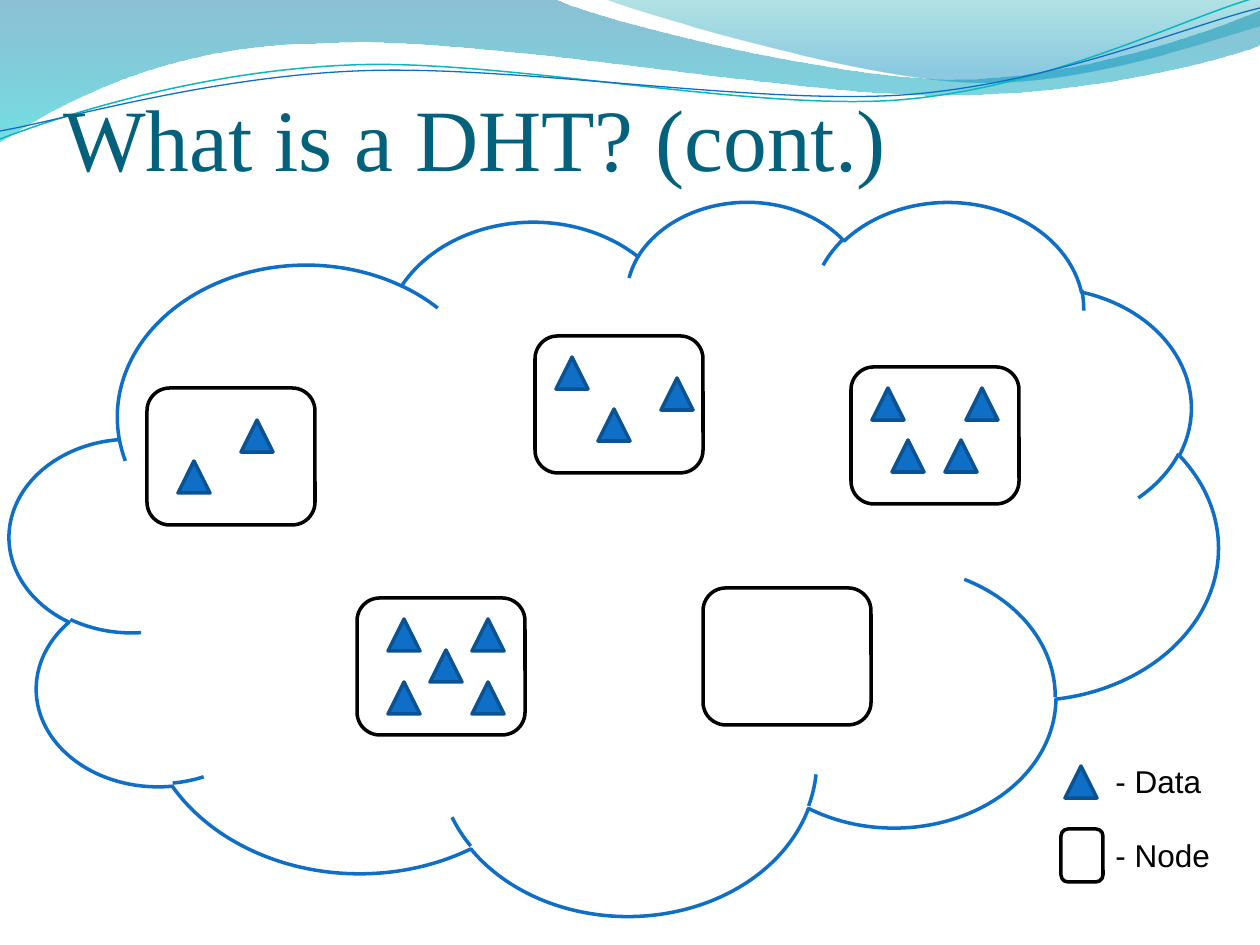
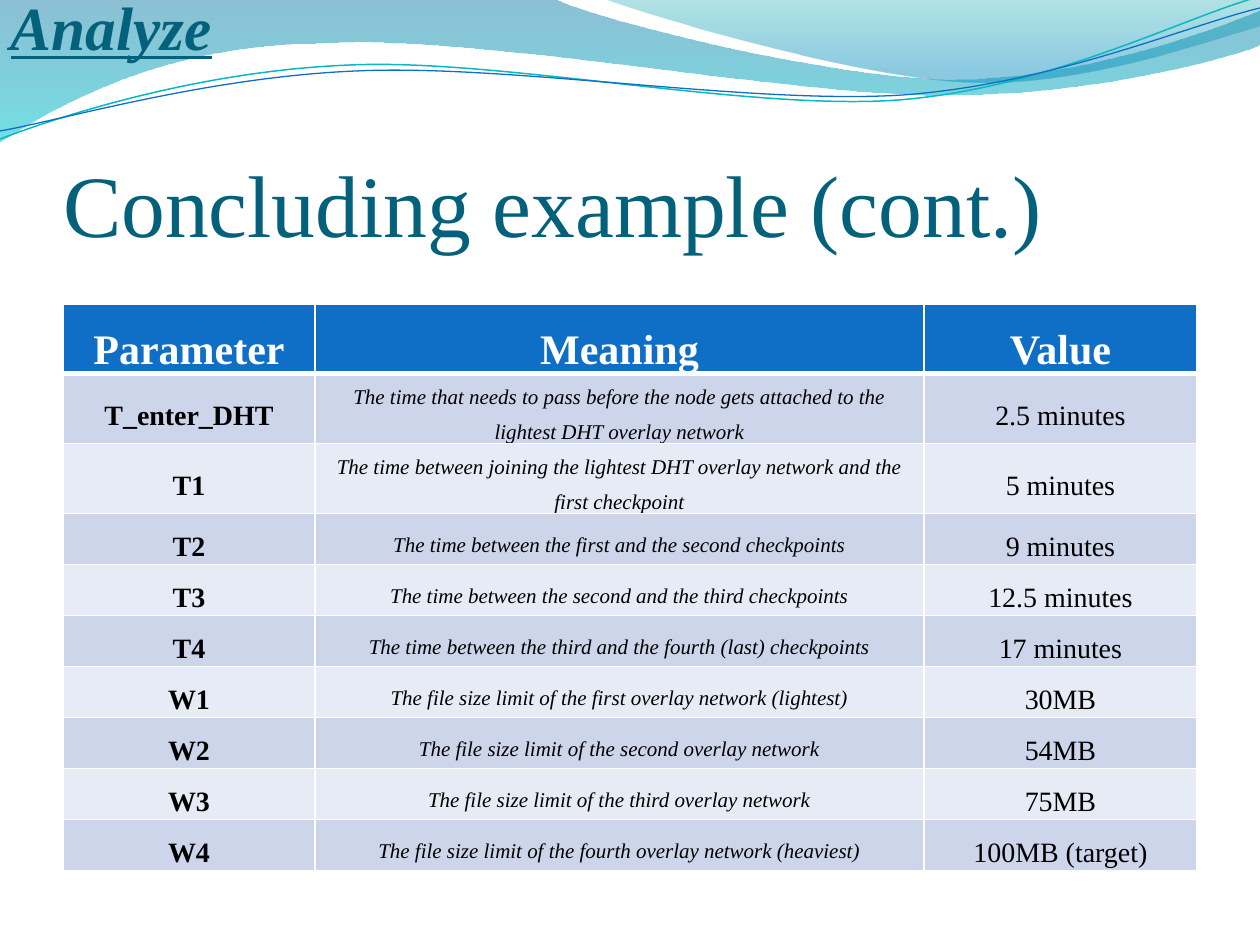
import dataclasses
import itertools
import typing

import pptx
import pptx.dml.color
import pptx.enum.shapes
import pptx.enum.text
import pptx.oxml
import pptx.oxml.ns
import pptx.util

RGB = pptx.dml.color.RGBColor
KIND = pptx.enum.shapes.MSO_SHAPE
ALIGN = pptx.enum.text.PP_ALIGN
ANCHOR = pptx.enum.text.MSO_ANCHOR

SCALE = 914400 / 126
SERIF = "Times New Roman"
SANS = "Arial"

WHITE = RGB(0xFF, 0xFF, 0xFF)
BLACK = RGB(0x00, 0x00, 0x00)
BLUE = RGB(0x0F, 0x6F, 0xC6)
NAVY = RGB(0x0B, 0x52, 0x92)
TITLE = RGB(0x04, 0x61, 0x7B)
AQUA = RGB(0x0A, 0xB8, 0xBF)
DARK = RGB(0xCC, 0xD5, 0xEA)
LIGHT = RGB(0xE7, 0xEB, 0xF5)

Point = tuple[int, int]
Box = tuple[int, int, int, int]


@dataclasses.dataclass(frozen=True)
class Stop:
    place: float
    color: RGB
    alpha: int


@dataclasses.dataclass(frozen=True)
class Wave:
    runs: list[list[Point]]
    stops: tuple[Stop, ...] = ()
    line: RGB | None = None
    width: float = 0


@dataclasses.dataclass(frozen=True)
class Node:
    left: int
    top: int
    data: tuple[Point, ...] = ()


WAVES = [
    Wave(
        [
            [(0, -1)],
            [(554, -1), (600, 21), (837, 79), (955, 79), (1075, 79), (1207, 33), (1260, 11)],
            [(1261, 45), (1239, 55), (1096, 96), (940, 95), (784, 95), (481, 35),
             (324, 43), (163, 44), (58, 105), (-1, 142)],
        ],
        (Stop(0, RGB(0x00, 0x74, 0xA1), 45), Stop(1, RGB(0x00, 0xC6, 0xCF), 55)),
    ),
    Wave(
        [
            [(604, -1), (641, 14), (859, 78), (969, 82), (1079, 87), (1211, 40), (1260, 26)],
            [(1260, 0)],
        ],
        (Stop(0, RGB(0x00, 0xA1, 0xA9), 30), Stop(0.8, RGB(0x00, 0x8B, 0xBF), 45)),
    ),
    Wave(
        [[(0, 139), (60, 116), (199, 71), (349, 65), (498, 58), (747, 111),
          (898, 100), (1050, 88), (1182, 18), (1258, -3)]],
        line=AQUA, width=0.85,
    ),
    Wave(
        [[(0, 131), (59, 121), (207, 77), (357, 71), (508, 64), (752, 105),
          (903, 95), (1053, 84), (1186, 26), (1260, 8)]],
        line=BLUE, width=0.75,
    ),
]

NODES = [
    Node(147, 388, ((94, 32), (31, 73))),
    Node(535, 336, ((21, 21), (63, 73), (126, 42))),
    Node(851, 367, ((21, 21), (115, 21), (41, 73), (94, 73))),
    Node(357, 598, ((31, 21), (115, 21), (73, 52), (31, 84), (115, 84))),
    Node(703, 588),
]
NODE_SIZE = (168, 137)
DATA_SIZE = (32, 32)

HEAD = ("Parameter", "Meaning", "Value")
ROWS = [
    ("T_enter_DHT", "The time that needs to pass before the node gets attached "
     "to the lightest DHT overlay network", "2.5 minutes"),
    ("T1", "The time between joining the lightest DHT overlay network "
     "and the first checkpoint", "5 minutes"),
    ("T2", "The time between the first and the second checkpoints", "9 minutes"),
    ("T3", "The time between the second and the third checkpoints", "12.5 minutes"),
    ("T4", "The time between the third and the fourth (last) checkpoints", "17 minutes"),
    ("W1", "The file size limit of the first overlay network (lightest)", "30MB"),
    ("W2", "The file size limit of the second overlay network", "54MB"),
    ("W3", "The file size limit of the third overlay network", "75MB"),
    ("W4", "The file size limit of the fourth overlay network (heaviest)", "100MB (target)"),
]
WIDTHS = (252, 609, 273)
ROW_HIGH = 51
LOOKS = (
    {"size": 16, "bold": True},
    {"size": 12, "ital": True},
    {"size": 16},
)


def px(size: float) -> pptx.util.Emu:
    return pptx.util.Emu(round(size * SCALE))


def put(frame: typing.Any, text: str, *, size: float, font: str = SERIF,
        color: RGB = BLACK, bold: bool = False, ital: bool = False,
        under: bool = False, align: typing.Any = ALIGN.LEFT,
        space: float | None = None) -> None:
    para = frame.paragraphs[0]
    para.alignment = align
    para.line_spacing = space
    run = para.add_run()
    run.text = text
    face = run.font
    face.name, face.size = font, pptx.util.Pt(size)
    face.bold, face.italic, face.underline = bold, ital, under
    face.color.rgb = color


def place(shape: typing.Any, box: Box) -> None:
    shape.left, shape.top, shape.width, shape.height = map(px, box)


def set_head(shape: typing.Any, box: Box, text: str, **look: typing.Any) -> None:
    place(shape, box)
    frame = shape.text_frame
    frame.word_wrap = True
    frame.auto_size = pptx.enum.text.MSO_AUTO_SIZE.NONE
    frame.vertical_anchor = ANCHOR.BOTTOM
    frame.margin_left = frame.margin_right = frame.margin_bottom = 0
    frame.margin_top = px(6)
    put(frame, text, color=TITLE, **look)


def add_form(slide: typing.Any, kind: typing.Any, box: Box, fill: RGB, line: RGB) -> None:
    form = slide.shapes.add_shape(kind, *map(px, box))
    form.shadow.inherit = False
    form.fill.solid()
    form.fill.fore_color.rgb = fill
    form.line.color.rgb = line
    form.line.width = pptx.util.Pt(2)


def add_node(slide: typing.Any, box: Box) -> None:
    add_form(slide, KIND.ROUNDED_RECTANGLE, box, WHITE, BLACK)


def add_data(slide: typing.Any, left: int, top: int) -> None:
    add_form(slide, KIND.ISOSCELES_TRIANGLE, (left, top, *DATA_SIZE), BLUE, NAVY)


def add_label(slide: typing.Any, box: Box, text: str) -> None:
    frame = slide.shapes.add_textbox(*map(px, box)).text_frame
    frame.word_wrap = True
    put(frame, text, size=18, font=SANS)


def bend(form: typing.Any, runs: list[list[Point]]) -> None:
    lines = list(form._element.iter(pptx.oxml.ns.qn("a:lnTo")))
    start = 0
    for run in runs:
        for i in range(start, start + len(run) - 1, 3):
            curve = pptx.oxml.parse_xml(
                f'<a:cubicBezTo {pptx.oxml.ns.nsdecls("a")}/>')
            lines[i].addprevious(curve)
            for line in lines[i:i + 3]:
                curve.append(line[0])
                line.getparent().remove(line)
        start += len(run)


def add_wave(slide: typing.Any, wave: Wave) -> typing.Any:
    trail = itertools.chain.from_iterable(wave.runs)
    spots = [(px(x), px(y)) for x, y in trail]
    pen = slide.shapes.build_freeform(*spots[0], scale=1.0)
    pen.add_line_segments(spots[1:], close=bool(wave.stops))
    form = pen.convert_to_shape()
    bend(form, wave.runs)
    form.shadow.inherit = False
    if wave.stops:
        form.line.fill.background()
        form.fill.gradient()
        form.fill.gradient_angle = 270
        for stop, spec in zip(form.fill.gradient_stops, wave.stops):
            stop.position = spec.place
            stop.color.rgb = spec.color
        tones = form._element.spPr.iter(pptx.oxml.ns.qn("a:srgbClr"))
        for tone, spec in zip(list(tones), wave.stops):
            tone.append(pptx.oxml.parse_xml(
                f'<a:alpha {pptx.oxml.ns.nsdecls("a")} val="{spec.alpha * 1000}"/>'))
    else:
        form.fill.background()
        form.line.color.rgb = wave.line
        form.line.width = pptx.util.Pt(wave.width)
    return form


def share_waves(slide: typing.Any) -> None:
    tree = slide.slide_layout.shapes._spTree
    for i, wave in enumerate(WAVES):
        item = add_wave(slide, wave)._element
        item.nvSpPr.cNvPr.set("id", str(100 + i))
        tree.insert(2 + i, item)


def edge(cell: typing.Any, low: int) -> None:
    props = cell._tc.get_or_add_tcPr()
    for i, (side, width) in enumerate((("L", 1), ("R", 1), ("T", 1), ("B", low))):
        props.insert(i, pptx.oxml.parse_xml(
            f'<a:ln{side} {pptx.oxml.ns.nsdecls("a")} w="{width * 12700}">'
            f'<a:solidFill><a:srgbClr val="{WHITE}"/></a:solidFill></a:ln{side}>'))


def add_grid(slide: typing.Any) -> None:
    count = len(ROWS) + 1
    box = (63, 304, sum(WIDTHS), ROW_HIGH * count)
    grid = slide.shapes.add_table(count, len(WIDTHS), *map(px, box)).table
    for col, width in zip(grid.columns, WIDTHS):
        col.width = px(width)
    for r, texts in enumerate([HEAD, *ROWS]):
        grid.rows[r].height = px(ROW_HIGH)
        for c, text in enumerate(texts):
            cell = grid.cell(r, c)
            cell.margin_left = cell.margin_right = px(9)
            cell.margin_top = cell.margin_bottom = 0
            cell.vertical_anchor = ANCHOR.MIDDLE
            cell.fill.solid()
            cell.fill.fore_color.rgb = BLUE if r == 0 else DARK if r % 2 else LIGHT
            edge(cell, 3 if r == 0 else 1)
            look = LOOKS[c] if r else {"size": 24, "bold": True, "color": WHITE}
            put(cell.text_frame, text, align=ALIGN.CENTER, space=1.5, **look)


def add_page(deck: typing.Any, top: int, text: str) -> typing.Any:
    slide = deck.slides.add_slide(deck.slide_layouts[5])
    set_head(slide.shapes.title, (63, top, 1134, 158), text, size=50)
    return slide


def draw_cloud(deck: typing.Any) -> None:
    slide = add_page(deck, 31, "What is a DHT? (cont.)")
    share_waves(slide)
    add_form(slide, KIND.CLOUD, (10, 200, 1208, 714), WHITE, BLUE)
    for node in NODES:
        add_node(slide, (node.left, node.top, *NODE_SIZE))
        for x, y in node.data:
            add_data(slide, node.left + x, node.top + y)
    add_data(slide, 1065, 766)
    add_label(slide, (1103, 756, 116, 52), "- Data")
    add_node(slide, (1061, 829, 42, 53))
    add_label(slide, (1103, 830, 126, 51), "- Node")


def draw_table(deck: typing.Any) -> None:
    slide = add_page(deck, 97, "Concluding example (cont.)")
    add_grid(slide)
    note = slide.shapes.add_textbox(0, 0, 0, 0)
    set_head(note, (11, -21, 305, 84), "Analyze", size=35, bold=True, ital=True, under=True)


def main() -> None:
    deck = pptx.Presentation()
    deck.slide_width, deck.slide_height = px(1260), px(945)
    draw_cloud(deck)
    draw_table(deck)
    deck.save("out.pptx")


main()
